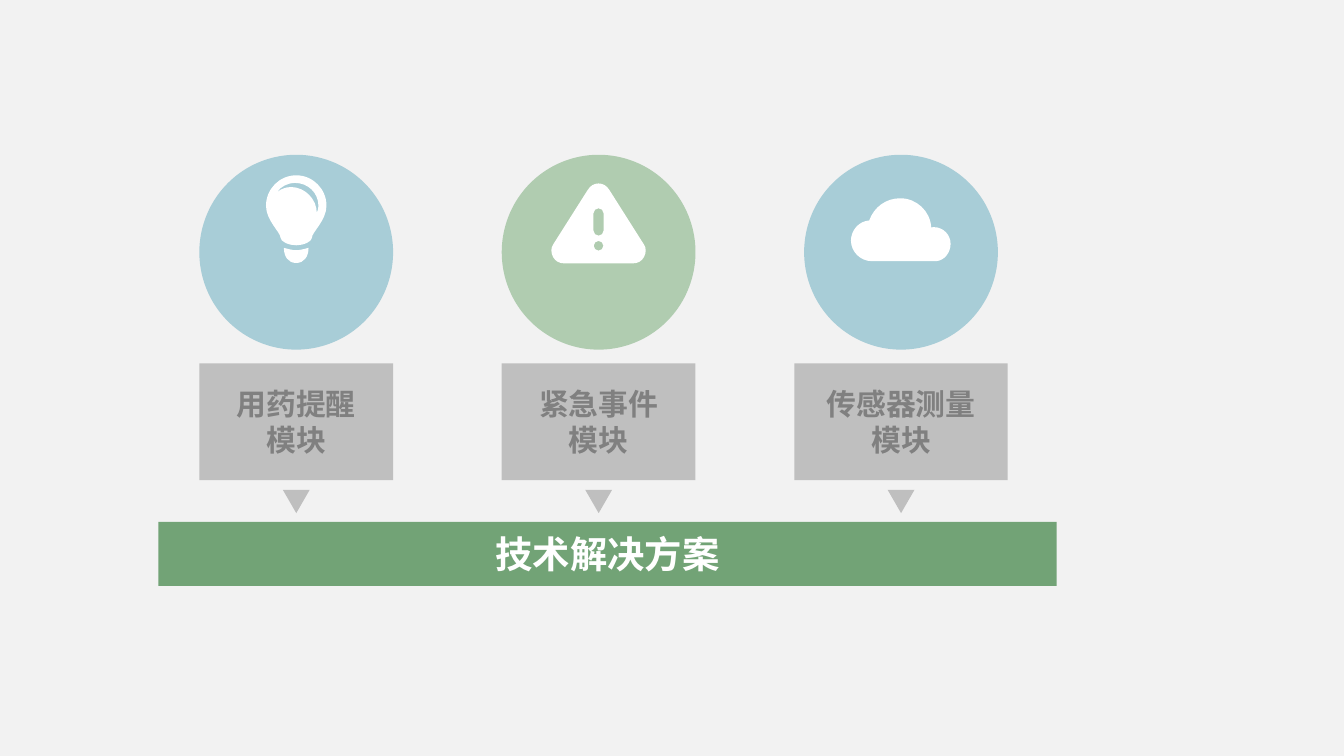
from lxml.etree import SubElement
from pptx import Presentation
from pptx.dml.color import RGBColor
from pptx.enum.shapes import MSO_SHAPE
from pptx.enum.text import MSO_ANCHOR, PP_ALIGN
from pptx.oxml.ns import qn
from pptx.util import Pt

PAPER = RGBColor(0xF2, 0xF2, 0xF2)
WHITE = RGBColor(0xFF, 0xFF, 0xFF)
BLUE = RGBColor(0xA8, 0xCD, 0xD7)
PALE_GREEN = RGBColor(0xB0, 0xCC, 0xB0)
GREEN = RGBColor(0x72, 0xA3, 0x76)
SILVER = RGBColor(0xBF, 0xBF, 0xBF)
GREY = RGBColor(0x80, 0x80, 0x80)
FONT = "Noto Sans CJK SC"

FRAME_FORMAT = {
    "margin_left": Pt(5), "margin_right": Pt(5),
    "margin_top": Pt(3), "margin_bottom": Pt(3),
    "vertical_anchor": MSO_ANCHOR.MIDDLE, "word_wrap": True,
}


def trace(start, *segments, mirrored=False):
    """Return an outline: its start, then one point per line or three per cubic curve."""
    outline = [[start]]
    for values in segments:
        outline.append(list(zip(values[::2], values[1::2])))
    if not mirrored:
        return outline
    flip = [[(-x, y) for x, y in segment] for segment in outline]
    if flip[-1][-1][0]:
        outline.append([flip[-1][-1]])
    for index in range(len(flip) - 1, 0, -1):
        outline.append(flip[index][-2::-1] + [flip[index - 1][-1]])
    return outline


def capsule(top, bottom, radius):
    """Return the outline of an upright pill centred on x = 0."""
    handle = radius * 0.45
    return trace(
        (0, top),
        (radius - handle, top, radius, top + handle, radius, top + radius),
        (radius, bottom - radius),
        (radius, bottom - handle, radius - handle, bottom, 0, bottom),
        mirrored=True)


# Each icon is a list of pieces, each piece a list of outlines, in points
# from the top centre of its circle.
BULB = [
    [
        trace((0, 51.2), (2, 51.2, 4, 50.6, 6.6, 49.9),
              (6.6, 54.5, 4.3, 58, 0, 58), mirrored=True),
    ],
    [
        trace((0, 11), (8.9, 11, 16.2, 18.3, 16.2, 27.3),
              (16.2, 35.2, 8.4, 41.5, 8.4, 44.5),
              (8.4, 46.5, 4, 48.5, 0, 48.5), mirrored=True),
        trace((-2.7, 17.3), (4.6, 17.3, 11, 23.8, 11, 31),
              (11.5, 30, 11.9, 29, 11.9, 27.4),
              (11.9, 20.2, 6.1, 15.1, -0.6, 15.1),
              (-4.7, 15.1, -8.3, 17.1, -10.3, 20),
              (-8, 18.4, -6, 17.3, -2.7, 17.3)),
    ],
]
WARNING = [[
    trace((0, 15.4), (2.5, 15.4, 4.4, 16.7, 5.8, 18.9), (24.3, 48.1),
          (25.6, 49.8, 25.6, 52.6, 24.3, 54.9),
          (23.2, 57, 21, 58.2, 18.6, 58.2), mirrored=True),
    capsule(28.7, 43.4, 2.7),
    trace((0, 46.2), (1.4, 46.2, 2.6, 47.4, 2.6, 48.8),
          (2.6, 50.2, 1.4, 51.4, 0, 51.4), mirrored=True),
]]
CLOUD = [[
    trace((-17, 35.2), (-14.4, 28, -8, 23.3, -0.4, 23.3),
          (8.4, 23.3, 15.7, 30.2, 16.2, 38.9),
          (16.7, 38.8, 17.1, 38.8, 17.6, 38.8),
          (22.6, 38.8, 26.6, 42.8, 26.6, 47.7),
          (26.6, 52.5, 23.2, 56.6, 19, 57), (-15.5, 57),
          (-21.8, 57, -26.8, 51.9, -26.8, 46),
          (-26.8, 40.4, -22.5, 35.6, -17, 35.2)),
]]


def paint(shape, color):
    """Give a shape a plain fill with neither line nor shadow."""
    shape.shadow.inherit = False
    shape.fill.solid()
    shape.fill.fore_color.rgb = color
    shape.line.fill.background()


def add_block(page, kind, box, color):
    """Add a preset shape in a (left, top, width, height) box."""
    shape = page.shapes.add_shape(kind, *map(Pt, box))
    paint(shape, color)
    return shape


def write_lines(shape, lines, size, color):
    """Write centred bold paragraphs into a shape."""
    frame = shape.text_frame
    for name, value in FRAME_FORMAT.items():
        setattr(frame, name, value)
    font_format = {"size": Pt(size), "bold": True, "name": FONT}
    for index, line in enumerate(lines):
        para = frame.add_paragraph() if index else frame.paragraphs[0]
        para.alignment = PP_ALIGN.CENTER
        span = para.add_run()
        span.text = line
        span.font.color.rgb = color
        for name, value in font_format.items():
            setattr(span.font, name, value)
        SubElement(span.font._element, qn("a:ea"), typeface=FONT)


def bend(shape, segments):
    """Turn each run of three lines that stands for a curve into a cubic curve."""
    lines = iter(list(shape._element.iter(qn("a:lnTo"))))
    for segment in segments:
        group = [next(lines) for _ in segment]
        if len(group) == 3:
            parent = group[0].getparent()
            curve = SubElement(parent, qn("a:cubicBezTo"))
            group[0].addprevious(curve)
            for line in group:
                curve.append(line[0])
                parent.remove(line)


def draw_icon(page, icon, center, top):
    """Draw the white pieces of an icon below a top centre point."""
    pieces = []
    for piece in icon:
        builder = None
        for outline in piece:
            start, *points = [(Pt(center + x), Pt(top + y))
                              for segment in outline for x, y in segment]
            if builder is None:
                builder = page.shapes.build_freeform(*start)
            else:
                builder.move_to(*start)
            builder.add_line_segments(points, close=True)
        shape = builder.convert_to_shape()
        bend(shape, [segment for outline in piece for segment in outline[1:]])
        paint(shape, WHITE)
        pieces.append(shape)
    if len(pieces) > 1:
        page.shapes.add_group_shape(pieces)


def draw_module(page, box, circle_color, icon, lines, label_width):
    """Draw one column: circle with icon, label and down arrow."""
    left, top, width, height = box
    center = left + width / 2
    add_block(page, MSO_SHAPE.OVAL, (left, top, width, 104.4), circle_color)
    draw_icon(page, icon, center, top)
    label_box = (center - label_width / 2, top + 111.8, label_width, 62.6)
    label = add_block(page, MSO_SHAPE.RECTANGLE, label_box, SILVER)
    write_lines(label, lines, 16, GREY)
    arrow_box = (center - 7.2, top + height - 12.5, 14.4, 12.5)
    arrow = add_block(page, MSO_SHAPE.ISOSCELES_TRIANGLE, arrow_box, SILVER)
    arrow.rotation = 180


def draw_solution_bar(page, box, text):
    """Draw the wide bar that all modules lead to."""
    bar = add_block(page, MSO_SHAPE.RECTANGLE, box, GREEN)
    write_lines(bar, [text], 20, WHITE)


def main():
    """Build the slide and save it."""
    deck = Presentation()
    deck.slide_width, deck.slide_height = Pt(720), Pt(405)
    page = deck.slides.add_slide(deck.slide_layouts[6])
    page.background.fill.solid()
    page.background.fill.fore_color.rgb = PAPER

    modules = [
        (BLUE, BULB, ["用药提醒", "模块"], 103.8),
        (PALE_GREEN, WARNING, ["紧急事件", "模块"], 103.8),
        (BLUE, CLOUD, ["传感器测量", "模块"], 114.2),
    ]
    for index, module in enumerate(modules):
        draw_module(page, (106.8 + 162 * index, 82.9, 103.8, 192), *module)
    draw_solution_bar(page, (84.8, 279.6, 481.3, 34.3), "技术解决方案")
    deck.save("out.pptx")


main()
